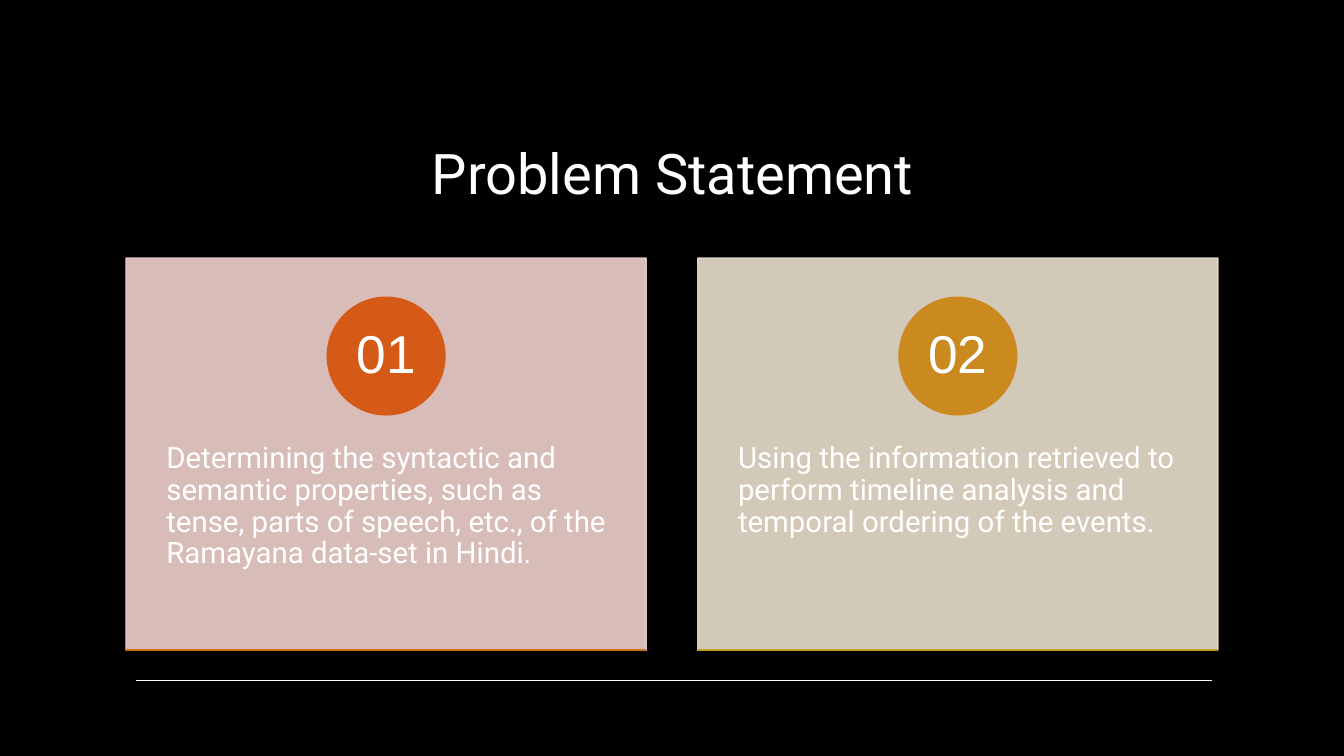
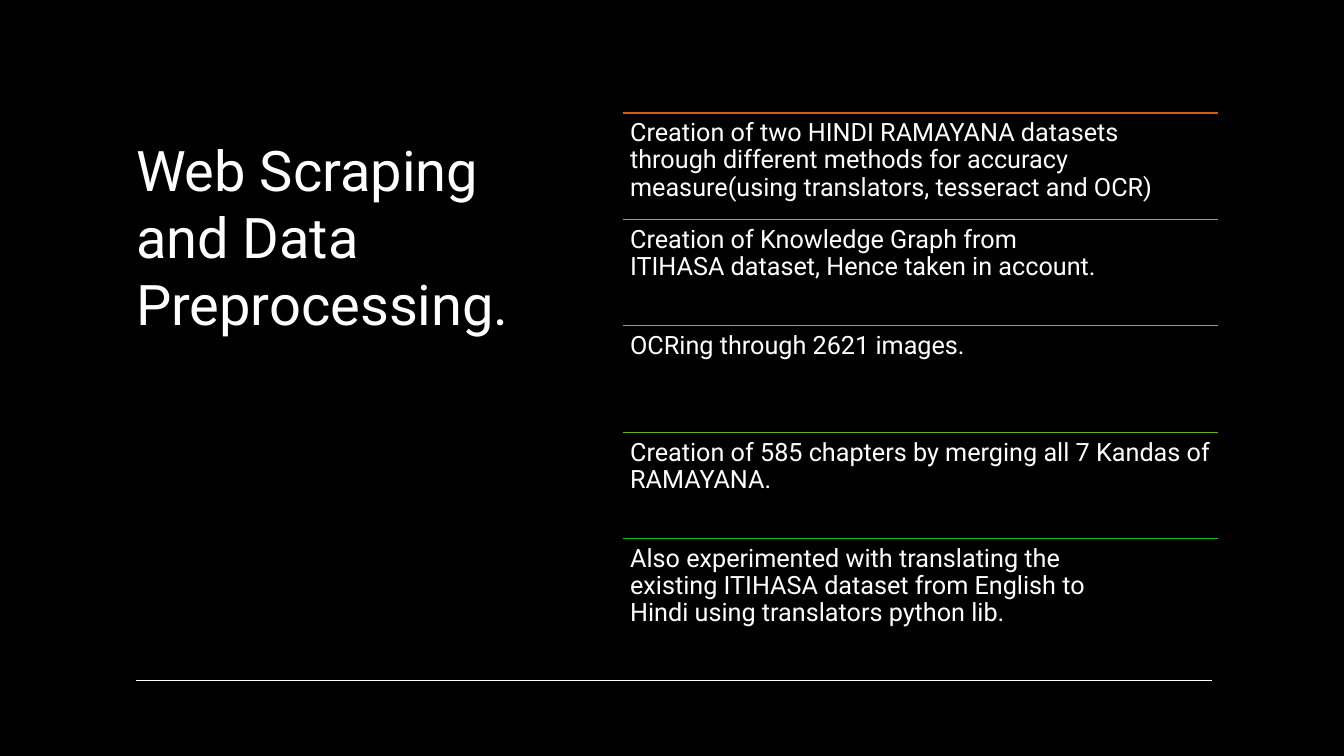
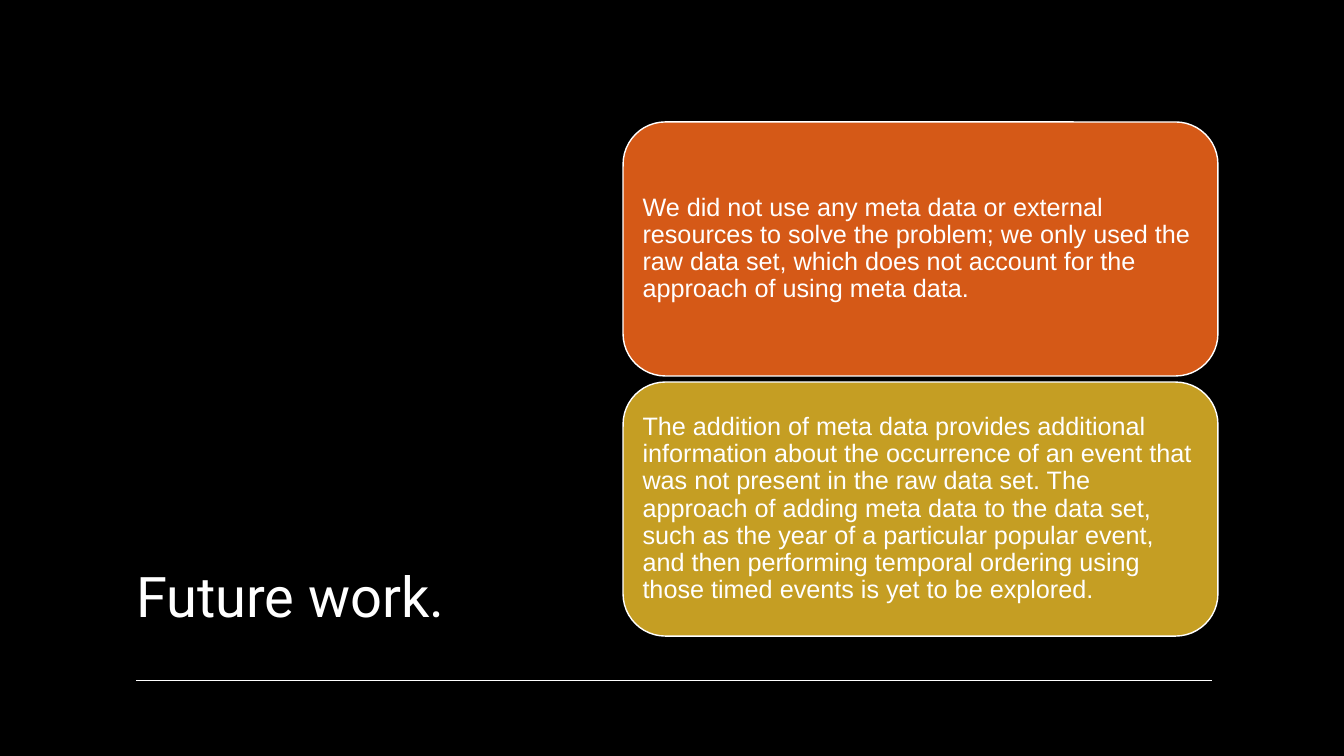
from dataclasses import dataclass
from typing import NamedTuple

from lxml.etree import SubElement
from pptx import Presentation
from pptx.dml.color import RGBColor
from pptx.enum.shapes import MSO_CONNECTOR, MSO_SHAPE
from pptx.enum.text import MSO_ANCHOR, MSO_AUTO_SIZE, PP_ALIGN
from pptx.oxml.ns import qn
from pptx.util import Inches, Pt


@dataclass(frozen=True)
class Theme:
    ground: str = "000000"
    ink: str = "FFFFFF"
    orange: str = "D55917"
    amber: str = "CA8A1F"
    gold: str = "C59E23"
    olive: str = "93AF13"
    lime: str = "5DB620"
    green: str = "15BF17"
    copper: str = "D0731B"
    rose: str = "EFD1CC"
    sand: str = "EADFCD"
    heading_font: str = "Roboto"
    plain_font: str = "Arial"
    title_size: int = 40
    number_size: int = 38
    caption_size: int = 21
    body_size: int = 18


THEME = Theme()


class Box(NamedTuple):
    """A region in inches that can be divided by rule."""
    left: float
    top: float
    width: float
    height: float

    def emu(self):
        return [Inches(value) for value in self]

    def share(self, x, y, width, height):
        """A region given as shares of this one."""
        return Box(self.left + x * self.width, self.top + y * self.height,
                   width * self.width, height * self.height)

    def columns(self, count, gap=0.0):
        width = (self.width - gap * (count - 1)) / count
        return [Box(self.left + i * (width + gap), self.top, width, self.height)
                for i in range(count)]

    def rows(self, count, gap=0.0):
        height = (self.height - gap * (count - 1)) / count
        return [Box(self.left, self.top + i * (height + gap), self.width, height)
                for i in range(count)]


PAGE = Box(0, 0, 13.33, 7.5)
LEFT_COLUMN = Box(1.25, 1.29, 4.26, 5)
RIGHT_EDGE, RIGHT_WIDTH = 6.18, 5.9


def rgb(color):
    return RGBColor.from_string(color)


def write(shape, text, *, size, font=THEME.heading_font, align=PP_ALIGN.LEFT,
          anchor=MSO_ANCHOR.TOP, insets=(0.1, 0.05), spacing=0.9):
    """Set the text of a shape; insets are horizontal and vertical inches."""
    frame = shape.text_frame
    frame.text = text
    frame.word_wrap = True
    frame.auto_size = MSO_AUTO_SIZE.NONE
    frame.vertical_anchor = anchor
    frame.margin_left = frame.margin_right = Inches(insets[0])
    frame.margin_top = frame.margin_bottom = Inches(insets[1])
    paragraph = frame.paragraphs[0]
    paragraph.alignment = align
    paragraph.line_spacing = spacing
    run_font = paragraph.runs[0].font
    run_font.name = font
    run_font.size = Pt(size)
    run_font.color.rgb = rgb(THEME.ink)


def add_textbox(slide, box, text, **style):
    write(slide.shapes.add_textbox(*box.emu()), text, **style)


def add_block(slide, kind, box, fill, line, opacity=100):
    block = slide.shapes.add_shape(kind, *box.emu())
    block.shadow.inherit = False
    block.fill.solid()
    block.fill.fore_color.rgb = rgb(fill)
    block.line.color.rgb = rgb(line)
    block.line.width = Pt(1)
    if opacity < 100:
        for color in block._element.spPr.iter(qn("a:srgbClr")):
            SubElement(color, qn("a:alpha"), val=str(opacity * 1000))
    return block


def add_rule(slide, left, y, width, color):
    rule = slide.shapes.add_connector(
        MSO_CONNECTOR.STRAIGHT, Inches(left), Inches(y), Inches(left + width), Inches(y))
    rule.line.color.rgb = rgb(color)
    rule.line.width = Pt(1)
    SubElement(rule._element.spPr, qn("a:effectLst"))


def add_slide(deck, title, box, **style):
    """A slide with its title and the rule along the foot."""
    slide = deck.slides.add_slide(deck.slide_layouts[5])
    heading = slide.shapes.title
    heading.left, heading.top, heading.width, heading.height = box.emu()
    write(heading, title, size=THEME.title_size, spacing=1.0, **style)
    add_rule(slide, 1.35, 0.9 * PAGE.height, 10.67, THEME.ink)
    return slide


def numbered_card(slide, box, number, caption, tint, badge, edge):
    add_block(slide, MSO_SHAPE.RECTANGLE, box, tint, tint, opacity=90)
    add_textbox(slide, box.share(0, 0.38, 1, 0.6), caption,
                size=THEME.caption_size, insets=(0.4, 0.36))
    # Round badge, centred across the card
    side = 0.3 * box.height
    circle = Box(box.left + (box.width - side) / 2, box.top + 0.1 * box.height, side, side)
    write(add_block(slide, MSO_SHAPE.OVAL, circle, badge, badge), number,
          size=THEME.number_size, font=THEME.plain_font, align=PP_ALIGN.CENTER,
          anchor=MSO_ANCHOR.MIDDLE, insets=(0.09, 0.01))
    # Accent along the lower edge
    add_rule(slide, box.left, box.top + box.height, box.width, edge)


def problem_slide(deck, title, cards):
    slide = add_slide(deck, title, Box(1.92, 0.99, 9.5, 1.1),
                      align=PP_ALIGN.CENTER, anchor=MSO_ANCHOR.BOTTOM)
    area = Box(1.25, 2.56, 10.83, 3.89)
    for box, card in zip(area.columns(len(cards), gap=0.51), cards):
        numbered_card(slide, box, *card)


def ruled_list_slide(deck, title, steps):
    slide = add_slide(deck, title, LEFT_COLUMN.share(0, 0, 1, 0.55))
    area = Box(RIGHT_EDGE, 1.12, RIGHT_WIDTH, 5.28)
    for box, (color, step) in zip(area.rows(len(steps)), steps):
        add_rule(slide, box.left, box.top, box.width, color)
        add_textbox(slide, box, step, size=THEME.body_size, insets=(0.07, 0.07))


def panel_slide(deck, title, panels):
    slide = add_slide(deck, title, LEFT_COLUMN, anchor=MSO_ANCHOR.BOTTOM)
    area = Box(RIGHT_EDGE, 1.21, RIGHT_WIDTH, 5.1)
    for box, (color, remark) in zip(area.rows(len(panels), gap=0.06), panels):
        panel = add_block(slide, MSO_SHAPE.ROUNDED_RECTANGLE, box, color, THEME.ink)
        write(panel, remark, size=THEME.body_size, font=THEME.plain_font,
              anchor=MSO_ANCHOR.MIDDLE, insets=(0.07, 0.07))


deck = Presentation()
deck.slide_width, deck.slide_height = Inches(PAGE.width), Inches(PAGE.height)
ground = deck.slide_master.background.fill
ground.solid()
ground.fore_color.rgb = rgb(THEME.ground)

problem_slide(deck, "Problem Statement", [
    ("01", "Determining the syntactic and semantic properties, such as tense, parts of "
           "speech, etc., of the Ramayana data-set in Hindi.\u00a0",
     THEME.rose, THEME.orange, THEME.copper),
    ("02", "Using the information retrieved to perform timeline analysis and temporal "
           "ordering of the events.",
     THEME.sand, THEME.amber, THEME.gold),
])

ruled_list_slide(deck, "Web Scraping and Data Preprocessing.", [
    (THEME.orange, "Creation of two HINDI RAMAYANA datasets through different methods for "
                   "accuracy measure(using translators, tesseract and OCR)"),
    (THEME.gold, "Creation of\u00a0Knowledge Graph\u00a0from ITIHASA\u00a0dataset, "
                 "Hence taken in account."),
    (THEME.olive, "OCRing through 2621 images."),
    (THEME.lime, "Creation of\u00a0585 chapters by merging all 7\u00a0Kandas of RAMAYANA."),
    (THEME.green, "Also experimented\u00a0with translating the existing\u00a0ITIHASA dataset "
                  "from\u00a0English to Hindi\u00a0using translators python lib."),
])

panel_slide(deck, "Future work.", [
    (THEME.orange, "We did not use any meta data or external resources to solve the problem; "
                   "we only used the raw data set, which does not account for the approach "
                   "of using meta data."),
    (THEME.gold, "The addition of meta data provides additional information about the "
                 "occurrence of an event that was not present in the raw data set. The "
                 "approach of adding meta data to the data set, such as the year of a "
                 "particular popular event, and then performing temporal ordering using "
                 "those timed events is yet to be explored."),
])

deck.save("out.pptx")
